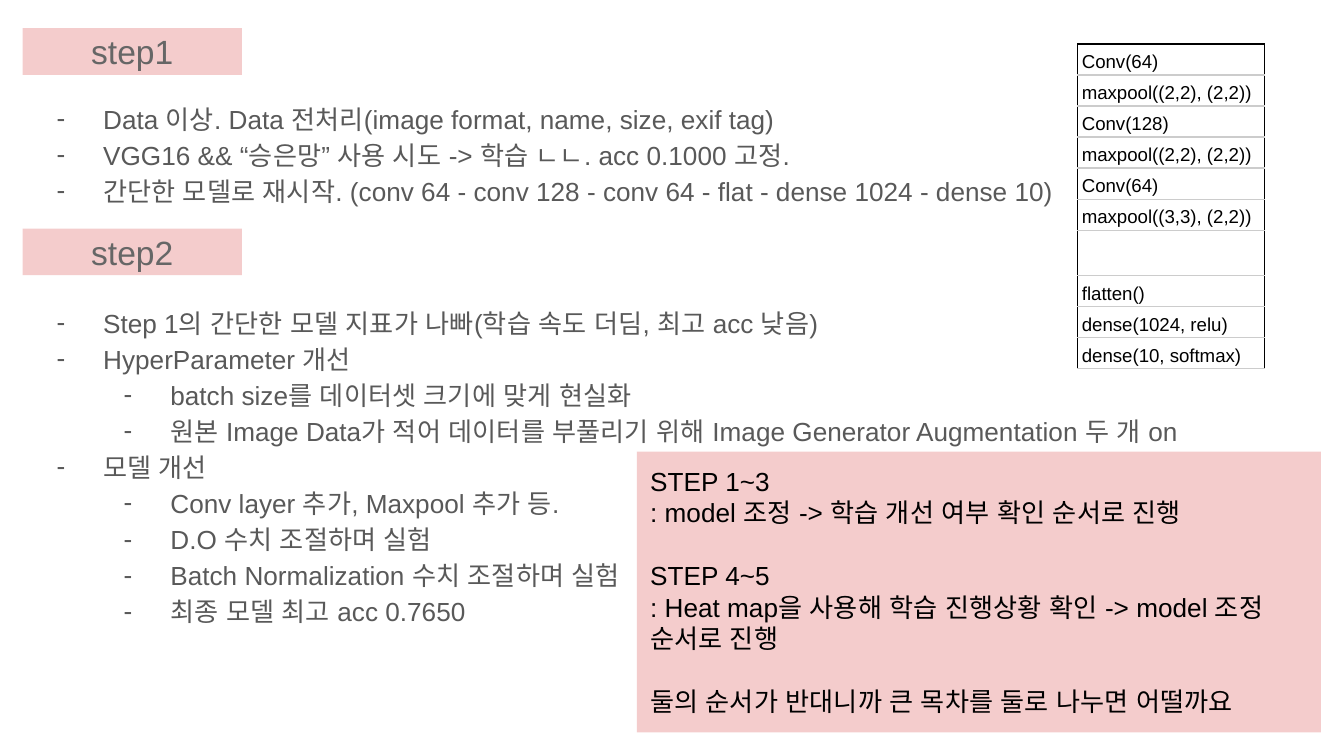
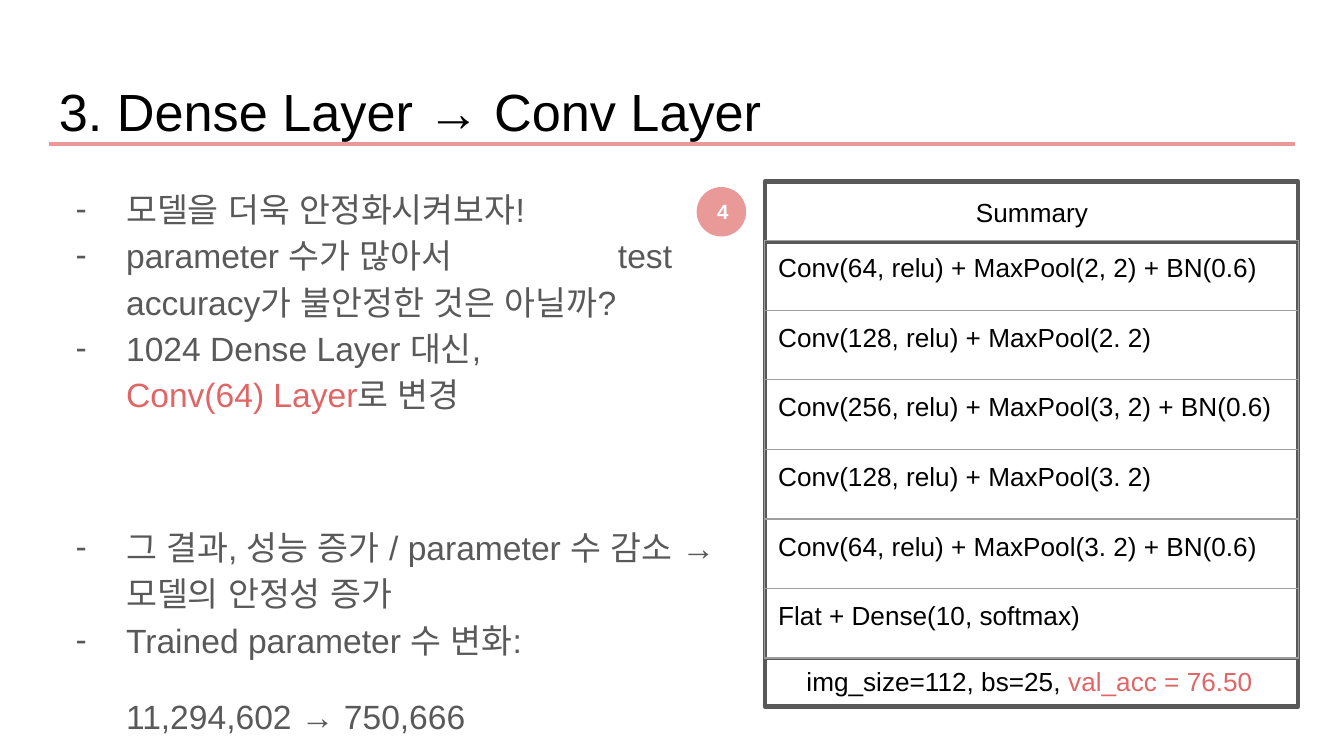
from dataclasses import dataclass

from lxml import etree
from pptx import Presentation
from pptx.dml.color import RGBColor
from pptx.enum.shapes import MSO_CONNECTOR, MSO_SHAPE
from pptx.enum.text import MSO_ANCHOR, PP_ALIGN
from pptx.oxml.ns import qn
from pptx.util import Pt

RECT, OVAL = MSO_SHAPE.RECTANGLE, MSO_SHAPE.OVAL
STRAIGHT = MSO_CONNECTOR.STRAIGHT
TOP, MIDDLE, BOTTOM = MSO_ANCHOR.TOP, MSO_ANCHOR.MIDDLE, MSO_ANCHOR.BOTTOM
LEFT, CENTER = PP_ALIGN.LEFT, PP_ALIGN.CENTER


@dataclass(frozen=True)
class Theme:
    font: str = "Arial"
    black: str = "000000"
    white: str = "FFFFFF"
    body: str = "595959"
    label: str = "666666"
    pale_pink: str = "F4CCCC"
    pink: str = "EA9999"
    red: str = "E06666"
    light_rule: str = "CCCCCC"
    rule: str = "9E9E9E"
    title_size: float = 28
    heading_size: float = 18
    text_size: float = 14
    badge_size: float = 11
    small_size: float = 10
    body_spacing: float = 1.15
    inset: float = 7.2
    indent: float = 36


@dataclass
class Para:
    """One paragraph; runs are (text, colour or None), level None means no bullet."""
    runs: list
    level: int | None = None
    before: float = 0
    indent: float = 0
    tab: float = 0


def plain(text, before=0, indent=0):
    return Para([(text, None)], before=before, indent=indent)


def bullet(text, level=0, before=0, tab=0):
    return Para([(text, None)], level, before, tab=tab)


def add_child(parent, tag, **attributes):
    return etree.SubElement(parent, qn(tag), attributes)


class Deck:
    def __init__(self, theme):
        self.theme = theme
        self.prs = Presentation()
        self.prs.slide_width, self.prs.slide_height = Pt(720), Pt(405)
        self.slide = None

    def new_slide(self):
        self.slide = self.prs.slides.add_slide(self.prs.slide_layouts[6])

    def fill_frame(self, frame, paras, size, color, align=LEFT, anchor=TOP,
                   spacing=None, hanging=0, bold=False):
        margin = Pt(self.theme.inset)
        frame.margin_left = frame.margin_right = margin
        frame.margin_top = frame.margin_bottom = margin
        frame.word_wrap = True
        frame.vertical_anchor = anchor
        self.fill_paragraphs(frame, paras, size, color, align, spacing, hanging, bold)

    def fill_paragraphs(self, frame, paras, size, color, align, spacing,
                        hanging=0, bold=False):
        for i, para in enumerate(paras):
            paragraph = frame.paragraphs[0] if i == 0 else frame.add_paragraph()
            self.set_layout(paragraph, para, hanging)
            paragraph.alignment = align
            if spacing:
                paragraph.line_spacing = spacing
            paragraph.space_before = Pt(para.before)
            for text, run_color in para.runs:
                if text == "\n":
                    paragraph.add_line_break()
                else:
                    self.add_run(paragraph, text, size, run_color or color, bold)

    def set_layout(self, paragraph, para, hanging):
        """Set indents, bullet and tab stop."""
        props = paragraph._p.get_or_add_pPr()
        if para.level is None:
            props.set("marL", str(Pt(para.indent)))
            props.set("indent", "0")
            return
        paragraph.level = para.level
        props.set("marL", str(Pt(self.theme.indent * (para.level + 1))))
        props.set("indent", str(-Pt(hanging)))
        add_child(add_child(props, "a:buClr"), "a:srgbClr", val=self.theme.body)
        add_child(props, "a:buFont", typeface=self.theme.font)
        add_child(props, "a:buChar", char="-")
        if para.tab:
            add_child(add_child(props, "a:tabLst"), "a:tab",
                      pos=str(Pt(para.tab)), algn="l")

    def add_run(self, paragraph, text, size, color, bold):
        run = paragraph.add_run()
        run.text = text
        run.font.size = Pt(size)
        run.font.bold = bold
        run.font.color.rgb = RGBColor.from_string(color)
        run.font.name = self.theme.font
        add_child(run._r.get_or_add_rPr(), "a:ea", typeface=self.theme.font)

    def text(self, at, paras, size, color, **style):
        box = self.slide.shapes.add_textbox(*map(Pt, at))
        self.fill_frame(box.text_frame, paras, size, color, **style)

    def body(self, at, paras, size, hanging):
        self.text(at, paras, size, self.theme.body,
                  spacing=self.theme.body_spacing, hanging=hanging)

    def shape(self, kind, at, fill=None, line=None, width=2.25):
        shape = self.slide.shapes.add_shape(kind, *map(Pt, at))
        shape.shadow.inherit = False
        if fill:
            shape.fill.solid()
            shape.fill.fore_color.rgb = RGBColor.from_string(fill)
        else:
            shape.fill.background()
        if line:
            shape.line.color.rgb = RGBColor.from_string(line)
            shape.line.width = Pt(width)
        else:
            shape.line.fill.background()
        return shape

    def line(self, left, right, y, color, width):
        rule = self.slide.shapes.add_connector(STRAIGHT, Pt(left), Pt(y), Pt(right), Pt(y))
        rule.line.color.rgb = RGBColor.from_string(color)
        rule.line.width = Pt(width)
        add_child(rule._element.spPr, "a:effectLst")

    def title(self, text):
        theme = self.theme
        self.text((24.5, 35.3, 671, 45), [plain(text)], theme.title_size, theme.black)
        self.line(26, 694, 77, theme.pink, 2.25)

    def step_label(self, text, top):
        theme = self.theme
        label = self.shape(RECT, (12.2, top, 117.4, 25), theme.pale_pink)
        self.fill_frame(label.text_frame, [plain(text)], theme.heading_size, theme.label,
                        align=CENTER, anchor=MIDDLE)

    def table(self, left, top, width, heights, rows, size, sides, rules, first_top,
              margins, anchor=TOP, spacing=None):
        """One-column table; sides, rules and first_top are border colours."""
        table = self.slide.shapes.add_table(
            len(rows), 1, Pt(left), Pt(top), Pt(width), Pt(sum(heights))).table
        table.first_row = table.horz_banding = False
        table.columns[0].width = Pt(width)
        for i, (text, height) in enumerate(zip(rows, heights)):
            table.rows[i].height = Pt(height)
            cell = table.cell(i, 0)
            cell.margin_left = cell.margin_right = Pt(margins[0])
            cell.margin_top = cell.margin_bottom = Pt(margins[1])
            cell.vertical_anchor = anchor
            cell.fill.background()
            self.set_borders(cell, sides, rules if i else first_top, rules)
            if text:
                self.fill_paragraphs(cell.text_frame, [plain(text)], size,
                                     self.theme.black, LEFT, spacing)

    def set_borders(self, cell, sides, top, bottom):
        props = cell._tc.get_or_add_tcPr()
        edges = {"a:lnL": sides, "a:lnR": sides, "a:lnT": top, "a:lnB": bottom}
        for i, (tag, color) in enumerate(edges.items()):
            edge = add_child(props, tag, w=str(Pt(0.75)))
            add_child(add_child(edge, "a:solidFill"), "a:srgbClr", val=color)
            props.insert(i, edge)


def build_steps(deck):
    theme = deck.theme
    deck.new_slide()
    deck.body((12.2, 45.5, 671, 351), [
        bullet("Data 이상. Data 전처리(image format, name, size, exif tag)"),
        bullet("VGG16 && “승은망” 사용 시도 -> 학습 ㄴㄴ. acc 0.1000 고정."),
        bullet("간단한 모델로 재시작. (conv 64 - conv 128 - conv 64 - flat - dense 1024 - dense 10)"),
        bullet("Step 1의 간단한 모델 지표가 나빠(학습 속도 더딤, 최고 acc 낮음)", before=51.4),
        bullet("HyperParameter 개선"),
        bullet("batch size를 데이터셋 크기에 맞게 현실화", 1),
        bullet("원본 Image Data가 적어 데이터를 부풀리기 위해 Image Generator Augmentation 두 개 on", 1),
        bullet("모델 개선"),
        bullet("Conv layer 추가, Maxpool 추가 등.", 1),
        bullet("D.O 수치 조절하며 실험", 1),
        bullet("Batch Normalization 수치 조절하며 실험", 1),
        bullet("최종 모델 최고 acc 0.7650", 1),
    ], theme.text_size, hanging=25)

    layers = ["Conv(64)", "maxpool((2,2), (2,2))", "Conv(128)", "maxpool((2,2), (2,2))",
              "Conv(64)", "maxpool((3,3), (2,2))", "", "flatten()",
              "dense(1024, relu)", "dense(10, softmax)"]
    deck.table(577.4, 23.6, 100, [15.85 if layer else 23 for layer in layers], layers,
               theme.small_size, theme.black, theme.light_rule, theme.black,
               margins=(2.2, 1.4), anchor=BOTTOM, spacing=theme.body_spacing)

    note = deck.shape(RECT, (341.2, 241.9, 366.5, 150.5), theme.pale_pink)
    deck.fill_frame(note.text_frame, [
        plain("STEP 1~3"),
        plain(": model 조정 -> 학습 개선 여부 확인 순서로 진행"),
        plain("STEP 4~5", before=17),
        plain(": Heat map을 사용해 학습 진행상황 확인 -> model 조정 순서로 진행"),
        plain("둘의 순서가 반대니까 큰 목차를 둘로 나누면 어떨까요", before=17),
    ], theme.text_size, theme.black)
    deck.step_label("step1", 15.1)
    deck.step_label("step2", 122.5)


def build_conv_layer(deck):
    theme = deck.theme
    deck.new_slide()
    deck.body((24.5, 90.7, 379.5, 305), [
        bullet("모델을 더욱 안정화시켜보자!"),
        bullet("parameter 수가 많아서\ttest accuracy가 불안정한 것은 아닐까?", tab=299.5),
        Para([("1024 Dense Layer 대신,", None), ("\n", None),
              ("Conv(64) Layer", theme.red), ("로 변경", None)], level=0),
        bullet("그 결과, 성능 증가 / parameter 수 감소 → 모델의 안정성 증가", before=57),
        bullet("Trained parameter 수 변화:"),
        plain("11,294,602 → 750,666", before=16, indent=theme.indent),
    ], theme.heading_size, hanging=27)
    deck.title("3. Dense Layer → Conv Layer")

    left, width, header_top, header_height = 409.7, 285.8, 97.2, 32.4
    layers_top = header_top + header_height
    deck.shape(RECT, (left, layers_top, width, 249), line=theme.body)
    deck.shape(RECT, (left, header_top, width, header_height), line=theme.body)
    deck.text((left, 353.5, 283.7, 23), [
        Para([("img_size=112, bs=25, ", None), ("val_acc = 76.50", theme.red)]),
    ], theme.text_size, theme.black, align=CENTER, anchor=MIDDLE)
    deck.line(410.4, 694.8, 352.8, theme.body, 1.5)
    deck.text((444.2, 102.2, 217.4, 23), [plain("Summary")],
              theme.text_size, theme.black, align=CENTER, anchor=MIDDLE)

    layers = ["Conv(64, relu) + MaxPool(2, 2) + BN(0.6)",
              "Conv(128, relu) + MaxPool(2. 2)",
              "Conv(256, relu) + MaxPool(3, 2) + BN(0.6)",
              "Conv(128, relu) + MaxPool(3. 2)",
              "Conv(64, relu) + MaxPool(3. 2) + BN(0.6)",
              "Flat + Dense(10, softmax)"]
    deck.table(left, 128.9, width, [37.3] * len(layers), layers, theme.text_size,
               theme.rule, theme.rule, theme.rule, margins=(theme.inset, theme.inset))

    badge = deck.shape(OVAL, (373.2, 100.2, 26.5, 26.5), theme.pink)
    deck.fill_frame(badge.text_frame, [plain("4")], theme.badge_size, theme.white,
                    anchor=MIDDLE, bold=True)


def main():
    deck = Deck(Theme())
    build_steps(deck)
    build_conv_layer(deck)
    deck.prs.save("out.pptx")


if __name__ == "__main__":
    main()
